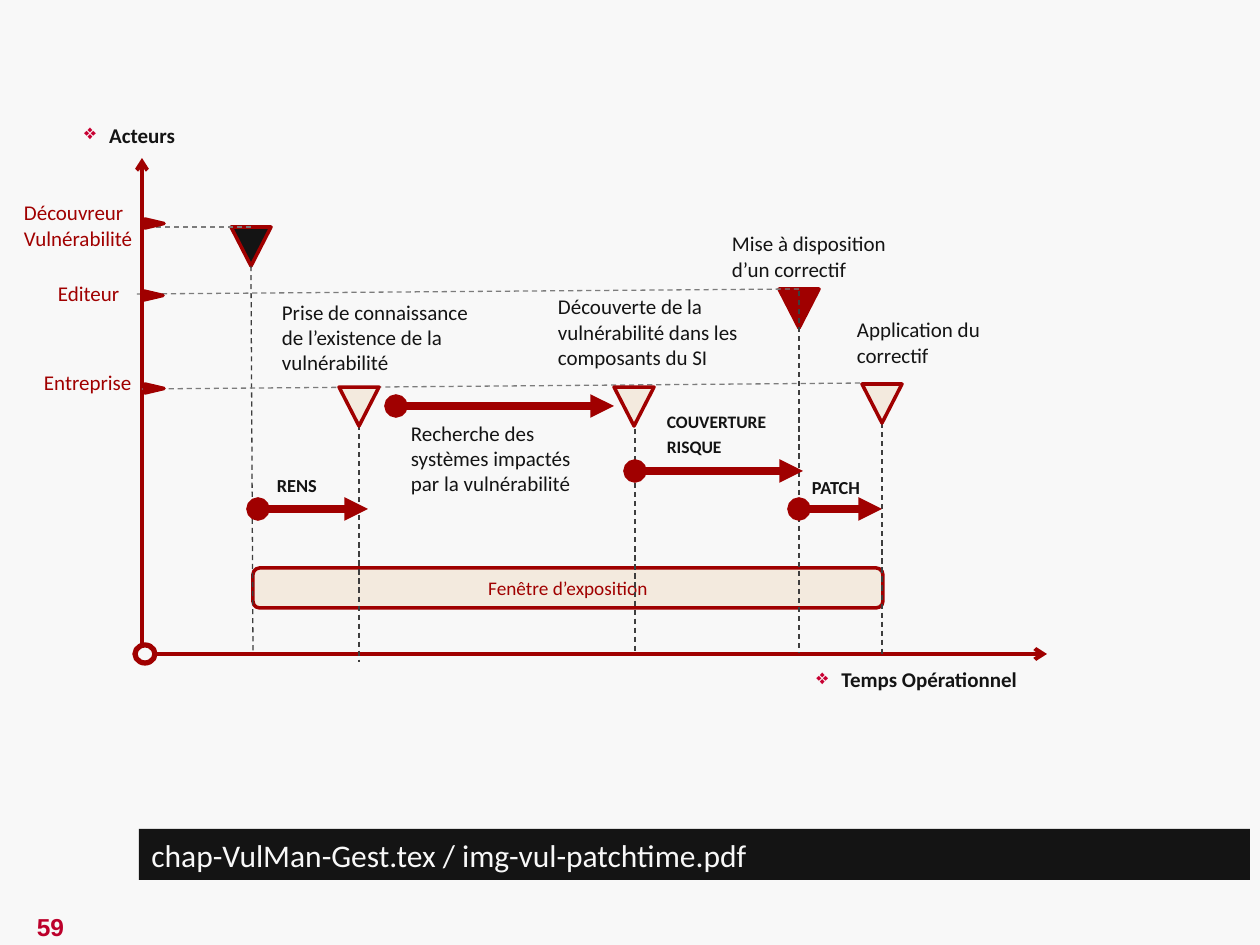
from dataclasses import dataclass

import pptx
import pptx.util
from pptx.dml.color import RGBColor
from pptx.enum.dml import MSO_LINE
from pptx.enum.shapes import MSO_CONNECTOR, MSO_SHAPE
from pptx.enum.text import MSO_ANCHOR, PP_ALIGN
from pptx.oxml.ns import qn
from lxml import etree

PX = 914400 / 126
COLORS = {
    "paper": "F8F8F8", "ink": "141414", "red": "A00000", "cream": "F3EADE",
    "bullet": "C80032", "number": "BC002B", "guide": "3E3E3E", "level": "7C7C7C",
}


@dataclass
class Label:
    x: int
    y: int
    w: int
    h: int
    lines: list[str]
    size: float = 12
    color: str = "ink"
    bold: bool = False
    bullet: bool = False
    align: PP_ALIGN = PP_ALIGN.LEFT
    font: str = "Calibri"


@dataclass
class Line:
    x1: int
    y1: int
    x2: int
    y2: int
    color: str = "red"
    width: float = 2.25
    dashed: bool = False
    head: str = ""
    tail: str = ""


@dataclass
class Marker:
    x: int
    y: int
    fill: str


def emu(px: float) -> int:
    return round(px * PX)


def rgb(name: str) -> RGBColor:
    return RGBColor.from_string(COLORS[name])


def add_bullet(p) -> None:
    pPr = p._p.get_or_add_pPr()
    pPr.set("marL", str(emu(25)))
    pPr.set("indent", str(-emu(25)))
    clr = etree.SubElement(pPr, qn("a:buClr"))
    etree.SubElement(clr, qn("a:srgbClr"), val=COLORS["bullet"])
    etree.SubElement(pPr, qn("a:buChar"), char="❖")


def write(p, text: str, size: float, color: str, bold: bool = False, font: str = "Calibri") -> None:
    r = p.add_run()
    r.text = text
    r.font.name, r.font.size, r.font.bold = font, pptx.util.Pt(size), bold
    r.font.color.rgb = rgb(color)


def add_label(s, label: Label) -> None:
    sp = s.shapes.add_textbox(emu(label.x), emu(label.y), emu(label.w), emu(label.h))
    tf = sp.text_frame
    tf.word_wrap = True
    tf.margin_left = tf.margin_right = emu(9)
    tf.margin_top = tf.margin_bottom = emu(5)
    for i, text in enumerate(label.lines):
        p = tf.add_paragraph() if i else tf.paragraphs[0]
        p.alignment = label.align
        if i:
            p.space_before = pptx.util.Pt(label.size * 0.2)
        if label.bullet:
            add_bullet(p)
        write(p, text, label.size, label.color, label.bold, label.font)


def add_line(s, line: Line) -> None:
    c = s.shapes.add_connector(MSO_CONNECTOR.STRAIGHT, emu(line.x1), emu(line.y1), emu(line.x2), emu(line.y2))
    c.line.color.rgb = rgb(line.color)
    c.line.width = pptx.util.Pt(line.width)
    if line.dashed:
        c.line.dash_style = MSO_LINE.DASH
    ln = c.line._get_or_add_ln()
    for tag, kind in (("a:headEnd", line.head), ("a:tailEnd", line.tail)):
        if kind:
            etree.SubElement(ln, qn(tag), type=kind)
    etree.SubElement(c._element.spPr, qn("a:effectLst"))


def add_shape(s, kind: MSO_SHAPE, x: int, y: int, w: int, h: int, fill: str,
              line_width: float = 2, rotation: int = 0):
    sp = s.shapes.add_shape(kind, emu(x), emu(y), emu(w), emu(h))
    sp.shadow.inherit = False
    sp.rotation = rotation
    sp.fill.solid()
    sp.fill.fore_color.rgb = rgb(fill)
    if line_width:
        sp.line.color.rgb = rgb("red")
        sp.line.width = pptx.util.Pt(line_width)
    else:
        sp.line.fill.background()
    return sp


def add_text_bar(s, kind: MSO_SHAPE, x: int, y: int, w: int, h: int, fill: str, line_width: float,
                 text: str, size: float, color: str, align: PP_ALIGN) -> None:
    sp = add_shape(s, kind, x, y, w, h, fill, line_width)
    tf = sp.text_frame
    tf.word_wrap = True
    tf.vertical_anchor = MSO_ANCHOR.MIDDLE
    tf.paragraphs[0].alignment = align
    write(tf.paragraphs[0], text, size, color)


def add_marker(s, marker: Marker) -> None:
    add_shape(s, MSO_SHAPE.ISOSCELES_TRIANGLE, marker.x, marker.y, 40, 39, marker.fill, rotation=180)


AXES = [
    Line(142, 654, 1047, 654, tail="arrow"),
    Line(142, 654, 142, 158, tail="arrow"),
]
EARLY_MARKERS = [Marker(231, 227, "ink"), Marker(779, 289, "red")]
COMPANY_MARKERS = [Marker(339, 387, "cream"), Marker(614, 387, "cream"), Marker(862, 384, "cream")]
GUIDES = [
    (251, 266, 253, 654), (359, 425, 359, 662), (635, 420, 635, 653),
    (799, 291, 799, 653), (882, 423, 882, 656),
]
LEVELS = [(869, 383, 142, 389), (799, 289, 137, 294), (251, 227, 144, 227)]
TICKS = [(150, 214), (149, 286), (150, 379)]
PHASES = [(396, 406, 614), (258, 509, 368), (799, 509, 882), (635, 471, 803)]
LABELS = [
    Label(28, 117, 156, 67, ["Acteurs"], bold=True, bullet=True, align=PP_ALIGN.RIGHT),
    Label(672, 662, 354, 37, ["Temps Opérationnel"], bold=True, bullet=True, align=PP_ALIGN.RIGHT),
    Label(15, 195, 183, 32, ["Découvreur Vulnérabilité"], color="red"),
    Label(49, 275, 129, 32, ["Editeur"], color="red"),
    Label(35, 365, 129, 32, ["Entreprise"], color="red"),
    Label(273, 294, 227, 106, ["Prise de connaissance de l’existence de la vulnérabilité"]),
    Label(402, 415, 192, 79, ["Recherche des systèmes impactés par la vulnérabilité"]),
    Label(549, 289, 210, 102, ["Découverte de la vulnérabilité dans les composants du SI"]),
    Label(848, 312, 192, 102, ["Application du correctif"]),
    Label(723, 226, 192, 102, ["Mise à disposition d’un correctif"]),
    Label(268, 469, 112, 32, ["RENS"], size=10.5, bold=True),
    Label(803, 471, 112, 32, ["PATCH"], size=10.5, bold=True),
    Label(658, 406, 125, 55, ["COUVERTURE", "RISQUE"], size=10, bold=True),
    Label(-2, 907, 105, 38, ["59"], size=14, color="number", bold=True, align=PP_ALIGN.CENTER, font="Arial"),
]


def main() -> None:
    prs = pptx.Presentation()
    prs.slide_width, prs.slide_height = emu(1260), emu(945)
    s = prs.slides.add_slide(prs.slide_layouts[6])
    s.background.fill.solid()
    s.background.fill.fore_color.rgb = rgb("paper")

    for axis in AXES:
        add_line(s, axis)
    add_shape(s, MSO_SHAPE.OVAL, 135, 645, 20, 18, "paper", 3)
    add_text_bar(s, MSO_SHAPE.RECTANGLE, 139, 829, 1111, 51, "ink", 0,
                 "chap-VulMan-Gest.tex / img-vul-patchtime.pdf", 18, "paper", PP_ALIGN.LEFT)
    add_text_bar(s, MSO_SHAPE.ROUNDED_RECTANGLE, 253, 568, 630, 40, "cream", 2,
                 "Fenêtre d’exposition", 11, "red", PP_ALIGN.CENTER)
    for marker in EARLY_MARKERS:
        add_marker(s, marker)
    for color, ends in (("guide", GUIDES), ("level", LEVELS)):
        for points in ends:
            add_line(s, Line(*points, color=color, width=0.75, dashed=True))
    for marker in COMPANY_MARKERS:
        add_marker(s, marker)
    for x, y in TICKS:
        add_shape(s, MSO_SHAPE.ISOSCELES_TRIANGLE, x, y, 9, 19, "red", rotation=90)
    for x1, y, x2 in PHASES:
        add_line(s, Line(x1, y, x2, y, width=4.5, head="oval", tail="triangle"))
    for label in LABELS:
        add_label(s, label)
    prs.save("out.pptx")


if __name__ == "__main__":
    main()
